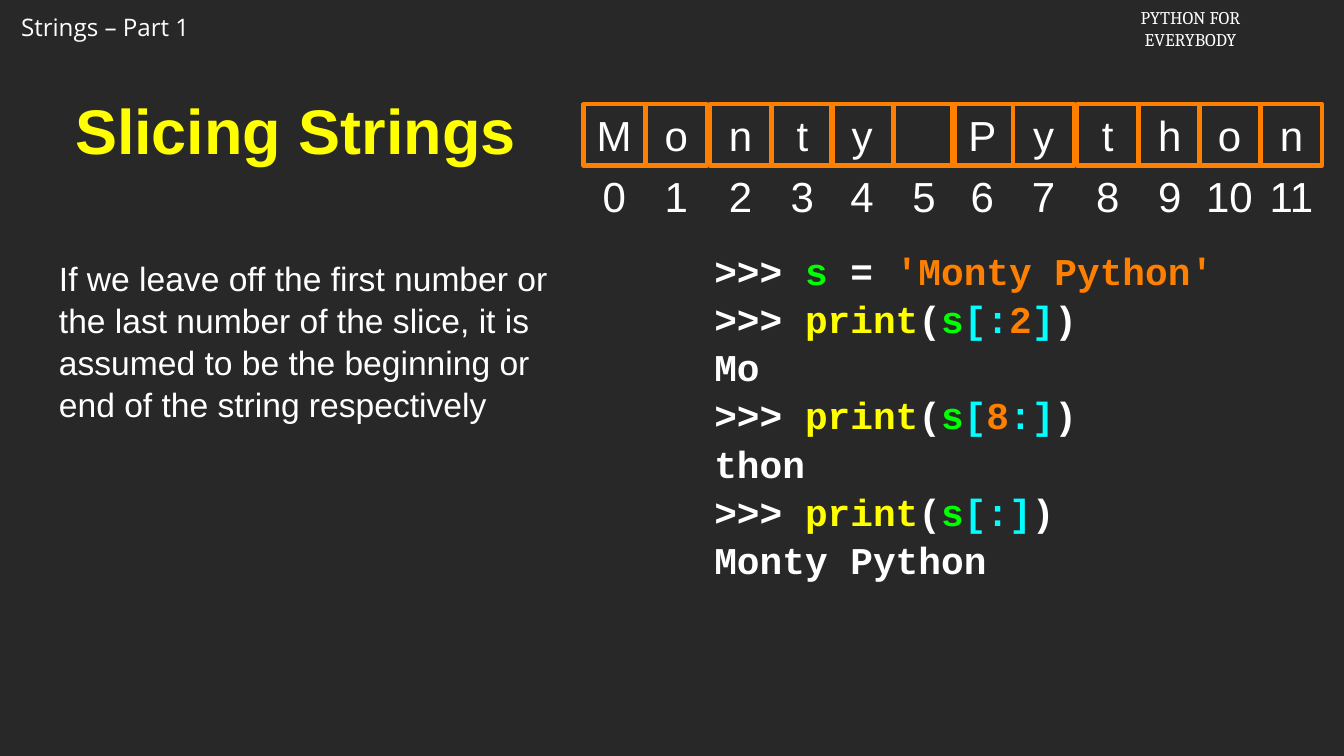
from pptx import Presentation
from pptx.dml.color import RGBColor
from pptx.enum.shapes import MSO_SHAPE as SHAPE
from pptx.enum.text import MSO_ANCHOR as ANCHOR, PP_ALIGN as ALIGN
from pptx.util import Inches, Pt

WHITE, YELLOW, GREEN = "FFFFFF", "FFFF00", "00FF00"
CYAN, ORANGE = "00FFFF", "FF7F00"

# Cell offsets from the left edge of the strip
STEPS = [0, 0.82, 1.67, 2.49, 3.28, 4.1, 4.87, 5.68, 6.53, 7.35, 8.14, 8.96]
CELL = 0.81


def paint(item, color):
    """Give a font or fill a plain colour."""
    if hasattr(item, "solid"):
        item.solid()
        item = item.fore_color
    else:
        item = item.color
    item.rgb = RGBColor.from_string(color)


def write(shape, lines, size, face="Arial", color=WHITE, bold=False,
          align=ALIGN.LEFT, anchor=ANCHOR.MIDDLE, inset=0, wrap=True, space=None):
    """Fill a shape; a line is a string or a list of (text, colour) runs."""
    frame = shape.text_frame
    frame.word_wrap = wrap
    frame.vertical_anchor = anchor
    if inset is not None:
        frame.margin_left = frame.margin_right = Inches(inset)
        frame.margin_top = frame.margin_bottom = Inches(inset)
    for i, line in enumerate(lines):
        para = frame.add_paragraph() if i else frame.paragraphs[0]
        para.alignment = align
        if space:
            para.line_spacing = space
        font = para.font
        font.name, font.size, font.bold = face, Pt(size), bold
        paint(font, color)
        runs = [(line, color)] if isinstance(line, str) else line
        for text, tint in runs:
            run = para.add_run()
            run.text = text
            if tint != color:
                paint(run.font, tint)
    return frame


def add_text(slide, box, lines, size, **style):
    shape = slide.shapes.add_textbox(*map(Inches, box))
    return write(shape, lines, size, **style)


def add_header(slide, left, top):
    """Lecture name on the left, course name on the right."""
    style = dict(anchor=ANCHOR.TOP, inset=None, wrap=False)
    add_text(slide, (left, top + 0.08, 2.57, 0.49), ["Strings – Part 1"], 23,
             face="Open Sans", **style)
    add_text(slide, (left + 14.7, top, 1.74, 0.67), ["PYTHON FOR", "EVERYBODY"],
             17, face="Cambria", align=ALIGN.CENTER, **style)


def add_strip(slide, left, top, word):
    """One framed cell per letter, with its index below."""
    for i, (step, char) in enumerate(zip(STEPS, word)):
        x = left + step
        add_text(slide, (x, top + CELL, CELL, CELL), [str(i)], 40,
                 align=ALIGN.CENTER)
        cell = slide.shapes.add_shape(
            SHAPE.RECTANGLE, *map(Inches, (x, top, CELL, CELL)))
        cell.shadow.inherit = False
        cell.fill.background()
        paint(cell.line.fill, ORANGE)
        cell.line.width = Pt(4)
        if char != " ":
            write(cell, [char], 40, align=ALIGN.CENTER)


def call(*parts):
    """Prompt line that prints a slice of s."""
    return [(">>> ", WHITE), ("print", YELLOW), ("(", WHITE), ("s", GREEN),
            *parts, (")", WHITE)]


def add_code(slide, box):
    """Interpreter session."""
    lines = [
        [(">>> ", WHITE), ("s", GREEN), (" = ", WHITE), ("'Monty Python'", ORANGE)],
        call(("[:", CYAN), ("2", ORANGE), ("]", CYAN)),
        "Mo",
        call(("[", CYAN), ("8", ORANGE), (":]", CYAN)),
        "thon",
        call(("[:]", CYAN)),
        "Monty Python",
    ]
    add_text(slide, box, lines, 36, face="Courier New", bold=True, space=1.06)


def add_note(slide, box):
    """Explanation, indented from the left."""
    text = ("If we leave off the first number or the last number of the slice, "
            "it is assumed to be the beginning or end of the string respectively")
    frame = add_text(slide, box, [text], 32, inset=0.04, space=1.04)
    frame.margin_left = Inches(0.28)


def add_title(slide, box):
    add_text(slide, box, ["Slicing Strings"], 60, color=YELLOW, bold=True,
             align=ALIGN.CENTER, inset=0.04)


def main():
    deck = Presentation()
    deck.slide_width, deck.slide_height = Inches(17.78), Inches(10)
    slide = deck.slides.add_slide(deck.slide_layouts[6])
    paint(slide.background.fill, "282828")
    add_header(slide, 0.18, 0.04)
    add_code(slide, (9.45, 3.35, 6.8, 4.24))
    add_note(slide, (0.5, 1.38, 7.22, 6.24))
    add_strip(slide, 7.72, 1.38, "Monty Python")
    add_title(slide, (0.6, 0.78, 6.62, 1.87))
    deck.save("out.pptx")


if __name__ == "__main__":
    main()
